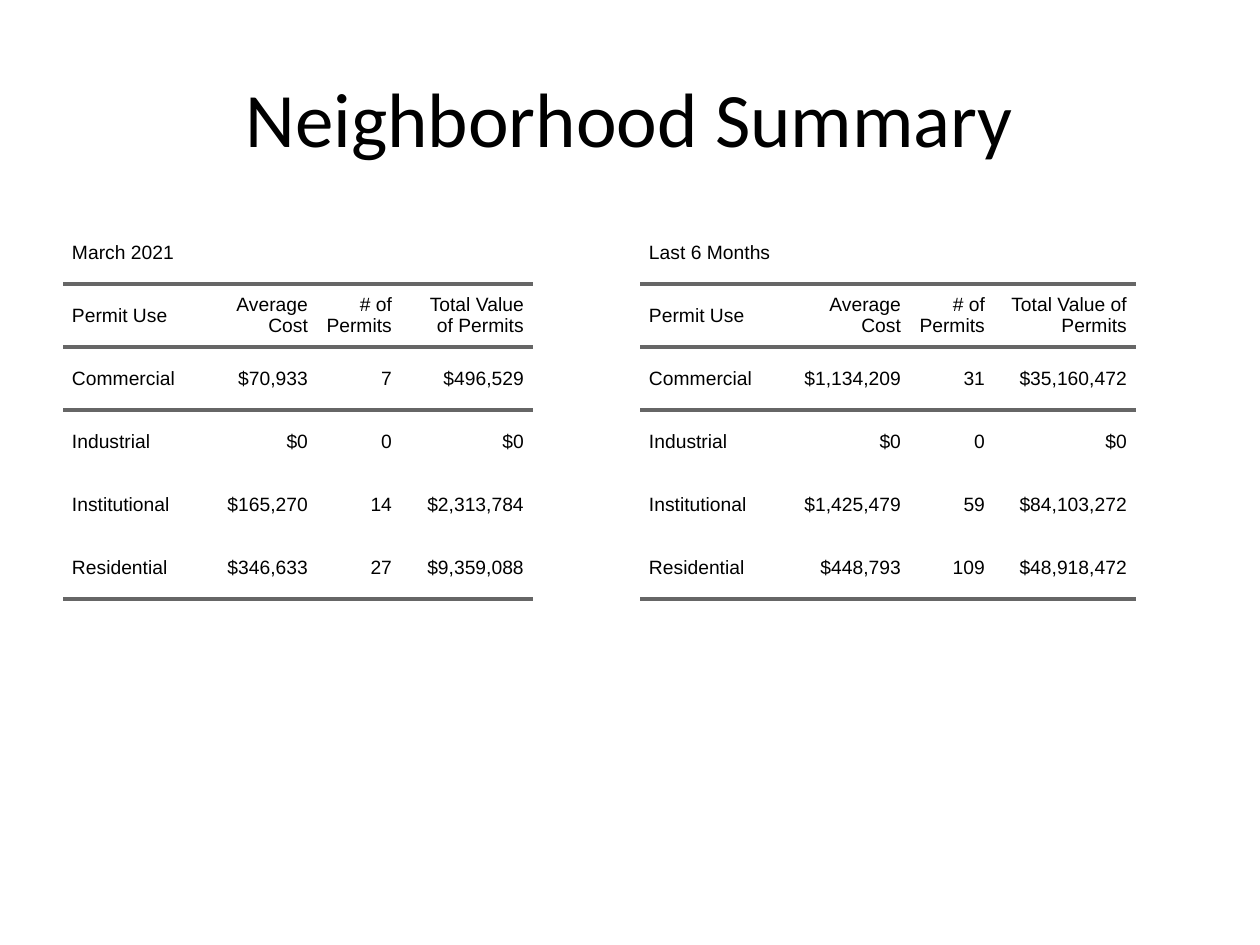
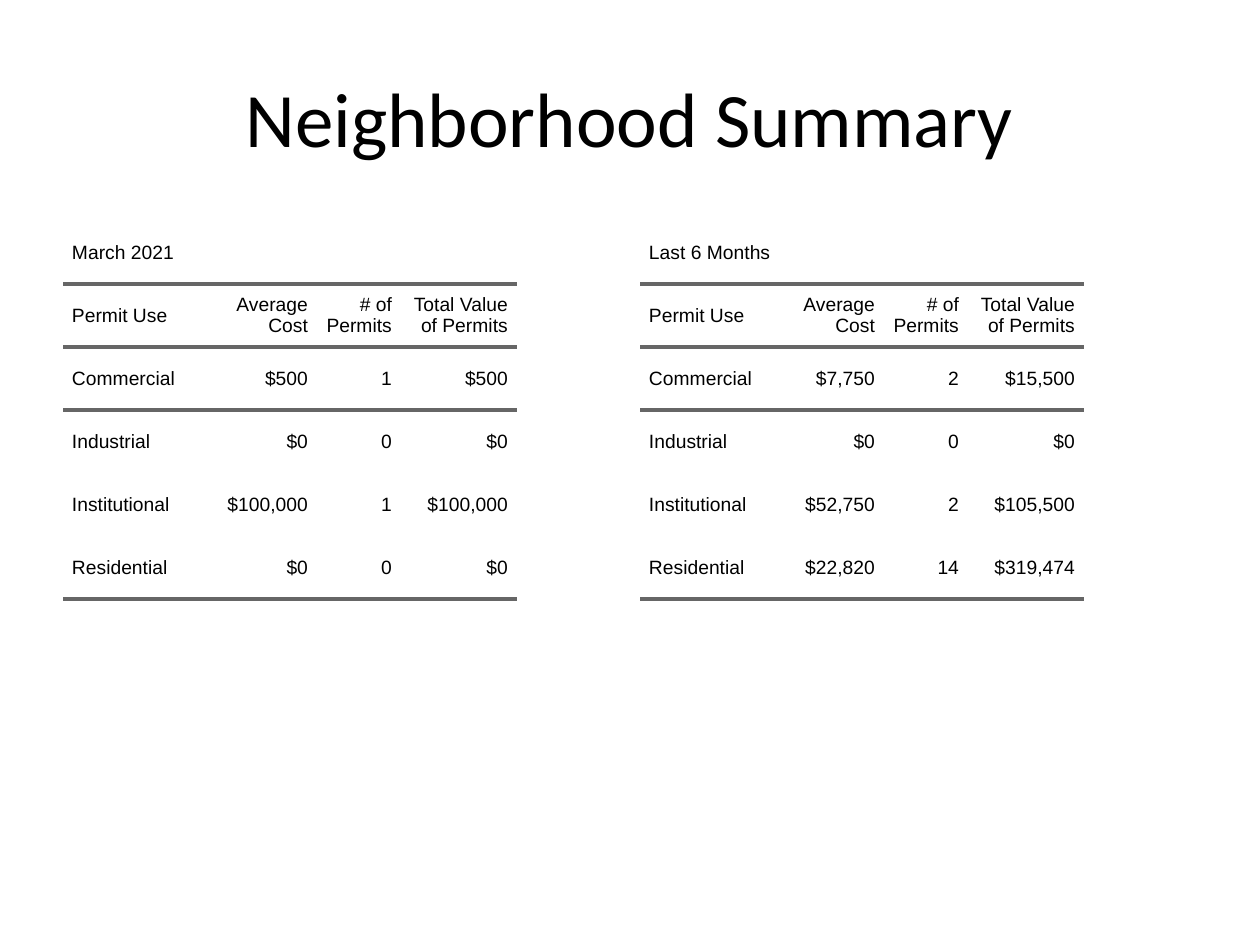
import pptx
import pptx.util
import pptx.dml.color
import pptx.enum.text
import pptx.oxml.ns
import lxml.etree

# Shared look
SCALE = 914400 / 126
BLACK, GREY = "000000", "666666"
ALIGN = pptx.enum.text.PP_ALIGN
MIDDLE = pptx.enum.text.MSO_ANCHOR.MIDDLE
PLAIN = "{2D5ABB26-0587-4C30-8999-92F81FD0307C}"  # style without grid
TOP, ROW, PAD = 221, 63, 9
USE, COUNT = 138, 84  # widths of the first and third columns
LEFT, RIGHT = 63, 640

HEADS = ["Permit Use", "Average Cost", "# of Permits", "Total Value of Permits"]
USES = ["Commercial", "Industrial", "Institutional", "Residential"]

# Per slide: period, left edge, widths of cost and total, rows in order of USES
SLIDES = [
    [
        ("March 2021", LEFT, 116, 132,
         [("$70,933", "7", "$496,529"), ("$0", "0", "$0"),
          ("$165,270", "14", "$2,313,784"), ("$346,633", "27", "$9,359,088")]),
        ("Last 6 Months", RIGHT, 132, 142,
         [("$1,134,209", "31", "$35,160,472"), ("$0", "0", "$0"),
          ("$1,425,479", "59", "$84,103,272"), ("$448,793", "109", "$48,918,472")]),
    ],
    [
        ("March 2021", LEFT, 116, 116,
         [("$500", "1", "$500"), ("$0", "0", "$0"),
          ("$100,000", "1", "$100,000"), ("$0", "0", "$0")]),
        ("Last 6 Months", RIGHT, 106, 116,
         [("$7,750", "2", "$15,500"), ("$0", "0", "$0"),
          ("$52,750", "2", "$105,500"), ("$22,820", "14", "$319,474")]),
    ],
]


def px(n):
    return pptx.util.Emu(round(n * SCALE))


def color(code):
    return pptx.dml.color.RGBColor.from_string(code)


def write(frame, text, font, size, align):
    para = frame.paragraphs[0]
    para.alignment = align
    run = para.add_run()
    run.text = text
    run.font.name = font
    run.font.size = pptx.util.Pt(size)
    run.font.color.rgb = color(BLACK)


def add_title(slide, text):
    title = slide.shapes.title
    title.left, title.top, title.width, title.height = map(px, (63, 38, 1134, 158))
    title.text_frame.vertical_anchor = MIDDLE
    title.text_frame.word_wrap = True
    write(title.text_frame, text, "Calibri", 44, ALIGN.CENTER)


def add_rule(cell, side):
    """Draw a grey border on one side: lnT or lnB."""
    qn = pptx.oxml.ns.qn
    line = lxml.etree.SubElement(cell._tc.get_or_add_tcPr(), qn("a:" + side),
                                 w=str(pptx.util.Pt(2)))
    fill = lxml.etree.SubElement(line, qn("a:solidFill"))
    lxml.etree.SubElement(fill, qn("a:srgbClr"), val=GREY)


def fill_cell(cell, text, align, sides):
    for side in sides:
        add_rule(cell, side)
    cell.fill.background()
    cell.margin_left = cell.margin_right = px(PAD)
    cell.margin_top = cell.margin_bottom = 0
    cell.vertical_anchor = MIDDLE
    if text:
        write(cell.text_frame, text, "Arial", 11, align)


def add_table(slide, period, left, cost, total, values):
    rows = [[period, "", "", ""], HEADS]
    rows += [[use, *nums] for use, nums in zip(USES, values)]
    widths = [USE, cost, COUNT, total]
    frame = slide.shapes.add_table(len(rows), len(widths), px(left), px(TOP),
                                   px(sum(widths)), px(ROW * len(rows)))
    table = frame.table
    table.first_row = table.horz_banding = False
    table._tbl.tblPr.find(pptx.oxml.ns.qn("a:tableStyleId")).text = PLAIN
    for col, width in zip(table.columns, widths):
        col.width = px(width)

    # Rules frame the header row and close the last row
    rules = {0: ["lnB"], 1: ["lnT", "lnB"], 2: ["lnT"], len(rows) - 1: ["lnB"]}
    for r, row in enumerate(rows):
        table.rows[r].height = px(ROW)
        for c, text in enumerate(row):
            align = ALIGN.RIGHT if c else ALIGN.LEFT
            fill_cell(table.cell(r, c), text, align, rules.get(r, []))
    table.cell(0, 0).merge(table.cell(0, len(widths) - 1))


def main():
    deck = pptx.Presentation()
    deck.slide_width, deck.slide_height = px(1260), px(945)
    for tables in SLIDES:
        slide = deck.slides.add_slide(deck.slide_layouts[5])
        add_title(slide, "Neighborhood Summary")
        for data in tables:
            add_table(slide, *data)
    deck.save("out.pptx")


if __name__ == "__main__":
    main()
